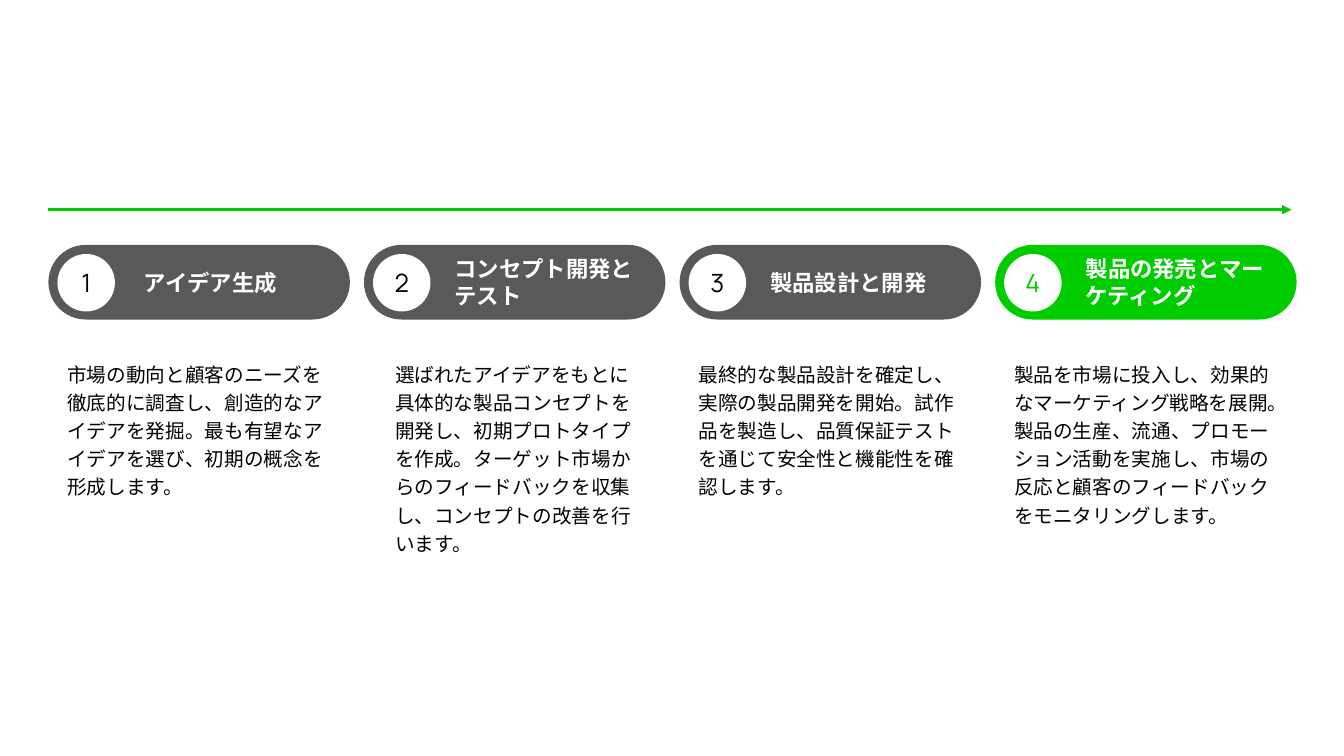
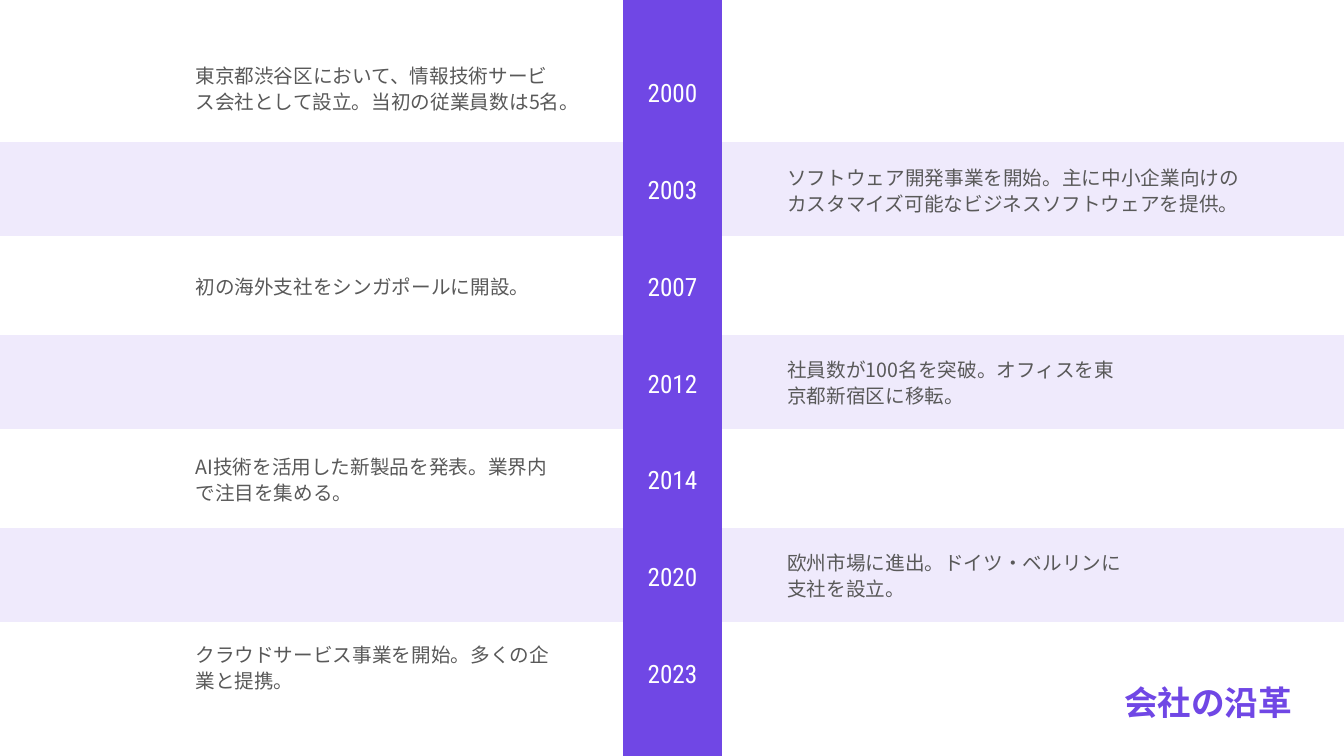
from pptx import Presentation
from pptx.dml.color import RGBColor
from pptx.enum.shapes import MSO_CONNECTOR as Conn, MSO_SHAPE as Shape
from pptx.enum.text import MSO_ANCHOR as Anchor, PP_ALIGN as Align
from pptx.oxml.ns import qn
from pptx.util import Inches, Pt
from lxml.etree import SubElement

# Shared look
WIDTH, HEIGHT = 13.33, 7.5
GREEN, GRAY, PURPLE = "00CC00", "595959", "7047E5"
WHITE, BLACK = "FFFFFF", "000000"
SANS, DIGIT, YEAR = "Noto Sans CJK JP", "Manrope", "Roboto Condensed"

STEPS = [  # title, text, text inset, text width
    ("アイデア生成",
     "市場の動向と顧客のニーズを徹底的に調査し、創造的なアイデアを発掘。"
     "最も有望なアイデアを選び、初期の概念を形成します。", 0.09, 2.84),
    ("コンセプト開発とテスト",
     "選ばれたアイデアをもとに具体的な製品コンセプトを開発し、初期プロトタイプを作成。"
     "ターゲット市場からのフィードバックを収集し、コンセプトの改善を行います。", 0.21, 2.61),
    ("製品設計と開発",
     "最終的な製品設計を確定し、実際の製品開発を開始。"
     "試作品を製造し、品質保証テストを通じて安全性と機能性を確認します。", 0.09, 2.84),
    ("製品の発売とマーケティング",
     "製品を市場に投入し、効果的なマーケティング戦略を展開。"
     "製品の生産、流通、プロモーション活動を実施し、"
     "市場の反応と顧客のフィードバックをモニタリングします。", 0.09, 2.84),
]

EVENTS = [  # year, text, text top, text width
    ("2000", "東京都渋谷区において、情報技術サービス会社として設立。当初の従業員数は5名。", 0.56, 3.86),
    ("2003", "ソフトウェア開発事業を開始。主に中小企業向けのカスタマイズ可能なビジネスソフトウェアを提供。",
     1.57, 4.72),
    ("2007", "初の海外支社をシンガポールに開設。", 2.66, 3.86),
    ("2012", "社員数が100名を突破。オフィスを東京都新宿区に移転。", 3.48, 3.54),
    ("2014", "AI技術を活用した新製品を発表。業界内で注目を集める。", 4.44, 3.86),
    ("2020", "欧州市場に進出。ドイツ・ベルリンに支社を設立。", 5.39, 3.54),
    ("2023", "クラウドサービス事業を開始。多くの企業と提携。", 6.31, 3.86),
]


def color(code):
    return RGBColor.from_string(code)


def write(frame, text, size, font, code, bold=False, align=Align.LEFT, space=1.0):
    frame.word_wrap = True
    para = frame.paragraphs[0]
    para.text = text
    para.alignment = align
    para.line_spacing = space
    for run in para.runs:
        run.font.size = Pt(size)
        run.font.name = font
        run.font.bold = bold
        run.font.color.rgb = color(code)
        # East Asian letters need the font too
        SubElement(run.font._element, qn("a:ea")).set("typeface", font)


def label(slide, box, text, size, font, code, anchor=Anchor.TOP, **style):
    frame = slide.shapes.add_textbox(*map(Inches, box)).text_frame
    write(frame, text, size, font, code, **style)
    frame.vertical_anchor = anchor


def block(slide, kind, box, code, alpha=None):
    shape = slide.shapes.add_shape(kind, *map(Inches, box))
    shape.shadow.inherit = False
    shape.fill.solid()
    shape.fill.fore_color.rgb = color(code)
    shape.line.fill.background()
    if alpha:
        tint = shape.fill._xPr.find(".//" + qn("a:srgbClr"))
        SubElement(tint, qn("a:alpha")).set("val", str(alpha * 1000))
    return shape


def arrow(slide, x, y, end):
    line = slide.shapes.add_connector(Conn.STRAIGHT, *map(Inches, (x, y, end, y)))
    line.line.color.rgb = color(GREEN)
    line.line.width = Pt(2.25)
    SubElement(line.line._get_or_add_ln(), qn("a:tailEnd")).set("type", "triangle")
    SubElement(line._element.spPr, qn("a:effectLst"))


def step(slide, x, y, num, item, active):
    title, text, inset, width = item
    # Pill with number and title
    high, disc = 0.74, 0.57
    pill = block(slide, Shape.ROUNDED_RECTANGLE, (x, y, 2.99, high),
                 GREEN if active else GRAY)
    pill.adjustments[0] = 0.5
    oval = block(slide, Shape.OVAL, (x + 0.09, y + 0.09, disc, disc), WHITE)
    frame = oval.text_frame
    frame.margin_left = frame.margin_right = 0
    frame.vertical_anchor = Anchor.MIDDLE
    write(frame, str(num), 18, DIGIT, GREEN if active else BLACK, align=Align.CENTER)
    label(slide, (x + 0.85 if num == 1 else x + 0.8, y, 2, high), title, 16, SANS,
          WHITE, anchor=Anchor.MIDDLE, bold=True)
    # Description
    label(slide, (x + inset, y + 1.07, width, 2), text, 14, SANS, BLACK, space=1.2)


def process(slide):
    left, pitch = 0.48, 3.13
    arrow(slide, left, 2.08, 12.81)
    for i, item in enumerate(STEPS):
        step(slide, left + i * pitch, 2.43, i + 1, item, i == len(STEPS) - 1)


def history(slide):
    # Pale bands behind every second event
    for i in range(3):
        block(slide, Shape.RECTANGLE, (0, 1.41 + i * 1.915, WIDTH, 0.93), PURPLE, alpha=11)
    # Central column
    block(slide, Shape.RECTANGLE, (6.18, 0, 0.98, HEIGHT), PURPLE)
    # Events alternate left and right
    for i, (year, text, top, width) in enumerate(EVENTS):
        label(slide, (7.71 if i % 2 else 1.84, top, width, 0.6), text, 14, SANS, GRAY,
              space=1.1)
        label(slide, (5.92, 0.72 + i * 0.96, 1.5, 0.4), year, 18, YEAR, WHITE,
              align=Align.CENTER)
    # Title
    label(slide, (11.05, 6.68, 2, 0.51), "会社の沿革", 24, SANS, PURPLE, bold=True, space=1.1)


def main():
    deck = Presentation()
    deck.slide_width, deck.slide_height = Inches(WIDTH), Inches(HEIGHT)
    for build in (process, history):
        build(deck.slides.add_slide(deck.slide_layouts[6]))
    deck.save("out.pptx")


if __name__ == "__main__":
    main()
